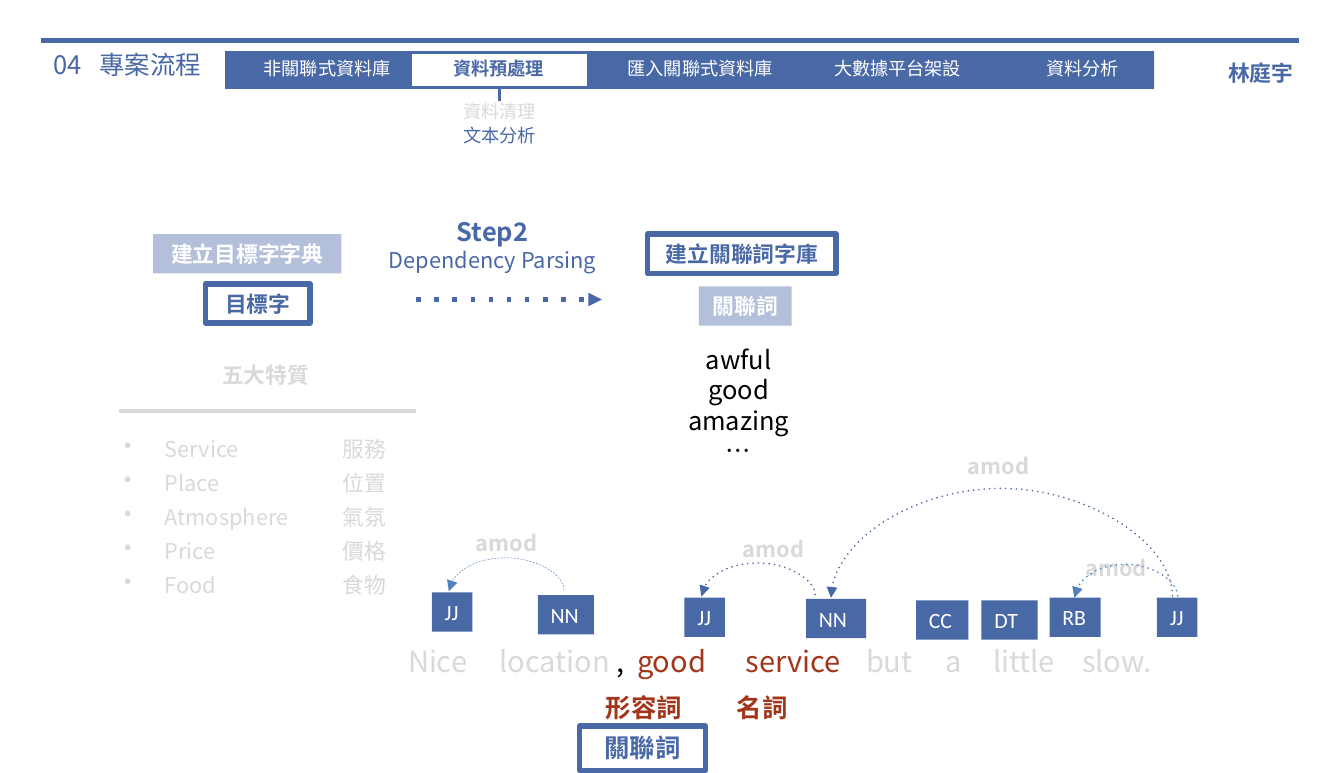
from pptx import Presentation
from pptx.dml.color import RGBColor
from pptx.enum.shapes import MSO_CONNECTOR, MSO_SHAPE
from pptx.enum.text import MSO_ANCHOR, PP_ALIGN
from pptx.oxml.ns import qn
from pptx.util import Inches, Pt
from lxml import etree

LINE, CURVE = MSO_CONNECTOR.STRAIGHT, MSO_CONNECTOR.CURVE
RECT = MSO_SHAPE.RECTANGLE
TOP = MSO_ANCHOR.TOP
LEFT, MID = PP_ALIGN.LEFT, PP_ALIGN.CENTER
SANS, CALIBRI = "Noto Sans CJK SC", "Calibri"
BLUE, SKY, RED = "4968A6", "4F81BD", "A3351A"
GRAY, WHITE, BLACK = "D9D9D9", "FFFFFF", "000000"


def paint(target, color):
    """Give a fill a solid color."""
    target.solid()
    target.fore_color.rgb = RGBColor.from_string(color)


def node(parent, tag, **attrs):
    return etree.SubElement(parent, qn(tag), attrs)


def write(frame, text, size=12, color=BLACK, bold=False, font=SANS,
          align=MID, lead=1.2, tabs=(), bullet=None):
    """Fill a frame; each line is a string or a list of (text, color) runs."""
    frame.word_wrap = True
    frame.vertical_anchor = TOP
    frame.margin_left = Inches(0.1)
    frame.margin_right = Inches(0.1 if align == MID else 0)
    frame.margin_top = frame.margin_bottom = Inches(0.05)
    lines = text.split("\n") if isinstance(text, str) else text
    for i, line in enumerate(lines):
        para = frame.add_paragraph() if i else frame.paragraphs[0]
        para.alignment = align
        para.line_spacing = Pt(size * lead)
        props = para._p.get_or_add_pPr()
        if bullet:
            props.set("marL", str(Inches(0.31)))
            props.set("indent", str(-Inches(0.31)))
            node(props, "a:buChar", char=bullet)
        if tabs:
            stops = node(props, "a:tabLst")
            for tab in tabs:
                node(stops, "a:tab", pos=str(Inches(tab)), algn="l")
        for words, shade in [(line, color)] if isinstance(line, str) else line:
            run = para.add_run()
            run.text = words
            run.font.size, run.font.bold, run.font.name = Pt(size), bold, font
            paint(run.font.fill, shade)
            node(run._r.get_or_add_rPr(), "a:ea", typeface=font)


class Page:
    def __init__(self, deck):
        self.shapes = deck.slides.add_slide(deck.slide_layouts[6]).shapes

    def text(self, x, y, w, h, text, **style):
        box = self.shapes.add_textbox(*map(Inches, (x, y, w, h)))
        write(box.text_frame, text, **style)

    def rect(self, x, y, w, h, text="", fill=None, line=None, width=3,
             alpha=None, **style):
        box = self.shapes.add_shape(RECT, *map(Inches, (x, y, w, h)))
        box.shadow.inherit = False
        if fill:
            paint(box.fill, fill)
        else:
            box.fill.background()
        if alpha:
            tint = box.fill._xPr.find(".//" + qn("a:srgbClr"))
            node(tint, "a:alpha", val=str(alpha * 1000))
        if line:
            paint(box.line.fill, line)
            box.line.width = Pt(width)
        else:
            box.line.fill.background()
        if text:
            write(box.text_frame, text, **style)

    def line(self, x1, y1, x2, y2, width, color=BLUE, dash=None, arrow=False,
             kind=LINE):
        link = self.shapes.add_connector(kind, *map(Inches, (x1, y1, x2, y2)))
        paint(link.line.fill, color)
        link.line.width = Pt(width)
        pen = link.line._get_or_add_ln()
        if dash:
            node(pen, "a:prstDash", val=dash)
        if arrow:
            node(pen, "a:tailEnd", type="triangle")
        node(link._element.spPr, "a:effectLst")
        return link

    def arc(self, x1, x2, y, lift, width=0.75, color=BLUE, dash="dot"):
        """Arrow from x1 back to x2 that bulges upward: a turned, thin curve."""
        drop = 0.01
        mid, low, half = (x1 + x2) / 2, y + drop / 2, (x1 - x2) / 2
        link = self.line(mid + drop / 2, low + half, mid - drop / 2, low - half,
                         width, color, dash, True, CURVE)
        props = link._element.spPr
        props.find(qn("a:xfrm")).set("rot", "16200000")
        guides = props.find(qn("a:prstGeom")).find(qn("a:avLst"))
        bend = round(-lift / drop * 100000)
        node(guides, "a:gd", name="adj1", fmla=f"val {bend}")


def header(page):
    page.text(0.31, 0.33, 1.41, 0.34, "04\t專案流程", size=14, color=BLUE,
              align=LEFT, tabs=[0.35])
    page.line(0.31, 0.31, 9.93, 0.31, 3)
    page.rect(1.72, 0.39, 7.1, 0.29, fill=BLUE)
    page.rect(3.14, 0.41, 1.35, 0.25, fill=WHITE, line=BLUE, width=0.75)
    steps = [("非關聯式資料庫", 2.5), ("資料預處理", 3.81), ("匯入關聯式資料庫", 5.35),
             ("大數據平台架設", 6.86), ("資料分析", 8.27)]
    for name, mid in steps:
        now = name == "資料預處理"
        page.text(mid - 0.75, 0.39, 1.5, 0.27, name, size=10, bold=now,
                  color=BLUE if now else WHITE)
    page.text(9.2, 0.41, 0.87, 0.3, "林庭宇", color=BLUE, bold=True)
    page.line(3.82, 0.68, 3.82, 0.77, 1.5)
    page.text(3.29, 0.72, 1.05, 0.27, "資料清理", size=10, color=GRAY)
    page.text(3.29, 0.9, 1.05, 0.27, "文本分析", size=10, color=BLUE)


def flow(page):
    pale = dict(fill=BLUE, alpha=41, color=WHITE, bold=True)
    frame = dict(line=BLUE, color=BLUE, bold=True)
    page.rect(1.17, 1.79, 1.44, 0.3, "建立目標字字典", **pale)
    page.rect(1.57, 2.17, 0.8, 0.3, "目標字", **frame)
    page.rect(4.95, 1.79, 1.44, 0.3, "建立關聯詞字庫", **frame)
    page.rect(5.34, 2.19, 0.71, 0.3, "關聯詞", **pale)
    page.rect(4.43, 5.55, 0.96, 0.34, "關聯詞", size=14, **frame)
    page.text(2.43, 1.6, 2.67, 0.3, "Step2", size=14, color=BLUE, bold=True)
    page.text(2.43, 1.84, 2.67, 0.3, "Dependency Parsing", color=BLUE)
    page.line(3.18, 2.29, 4.6, 2.29, 2.5, dash="dot", arrow=True)
    page.text(5.07, 2.58, 1.15, 1.04, "awful\ngood\namazing\n…", size=14)


def traits(page):
    page.text(1.59, 2.72, 0.88, 0.3, "五大特質", color=GRAY, bold=True)
    page.line(0.91, 3.14, 3.18, 3.14, 2, GRAY)
    style = dict(color=GRAY, align=LEFT, lead=1.56)
    page.text(0.85, 3.22, 1.67, 1.4, "Service\nPlace\nAtmosphere\nPrice\nFood",
              bullet="•", **style)
    page.text(2.52, 3.22, 0.58, 1.4, "服務\n位置\n氣氛\n價格\n食物", **style)


def parse_tree(page):
    words = [("Nice", GRAY), ("\tlocation", GRAY), ("\t,", BLACK),
             ("\tgood", RED), ("\tservice", RED), ("\tbut", GRAY),
             ("\ta", GRAY), ("\tlittle", GRAY), ("\tslow.", GRAY)]
    page.text(3.02, 4.87, 6.3, 0.37, [words], size=16, align=LEFT,
              tabs=[0.7, 1.59, 1.75, 2.58, 3.5, 4.11, 4.47, 5.15])
    tags = [("JJ", 3.3, 4.53, 0.31), ("NN", 4.11, 4.55, 0.43),
            ("JJ", 5.23, 4.57, 0.31), ("NN", 6.16, 4.58, 0.46),
            ("CC", 7, 4.59, 0.4), ("DT", 7.5, 4.59, 0.43),
            ("RB", 8.02, 4.57, 0.39), ("JJ", 8.84, 4.57, 0.31)]
    for tag, x, y, w in tags:
        page.rect(x, y, w, 0.3, tag, fill=BLUE, color=WHITE, font=CALIBRI,
                  align=LEFT)
    for mid, y in [(3.87, 3.94), (5.91, 3.99), (7.63, 3.35), (8.53, 4.13)]:
        page.text(mid - 0.45, y, 0.9, 0.35, "amod", color=GRAY, bold=True,
                  lead=1.56)
    page.arc(4.31, 3.43, 4.51, 0.25, width=0.25, color=SKY, dash="dash")
    page.arc(6.23, 5.36, 4.55, 0.25)
    page.arc(8.96, 6.35, 4.56, 0.84)
    page.arc(9, 8.21, 4.56, 0.25, color=SKY)
    for name, x, w in [("形容詞", 4.53, 0.83), ("名詞", 5.53, 0.59)]:
        page.text(x, 5.24, w, 0.34, name, size=14, color=RED, bold=True,
                  align=LEFT)


def main():
    deck = Presentation()
    deck.slide_width, deck.slide_height = Inches(10.27), Inches(5.91)
    page = Page(deck)
    for part in (header, flow, traits, parse_tree):
        part(page)
    deck.save("out.pptx")


if __name__ == "__main__":
    main()
